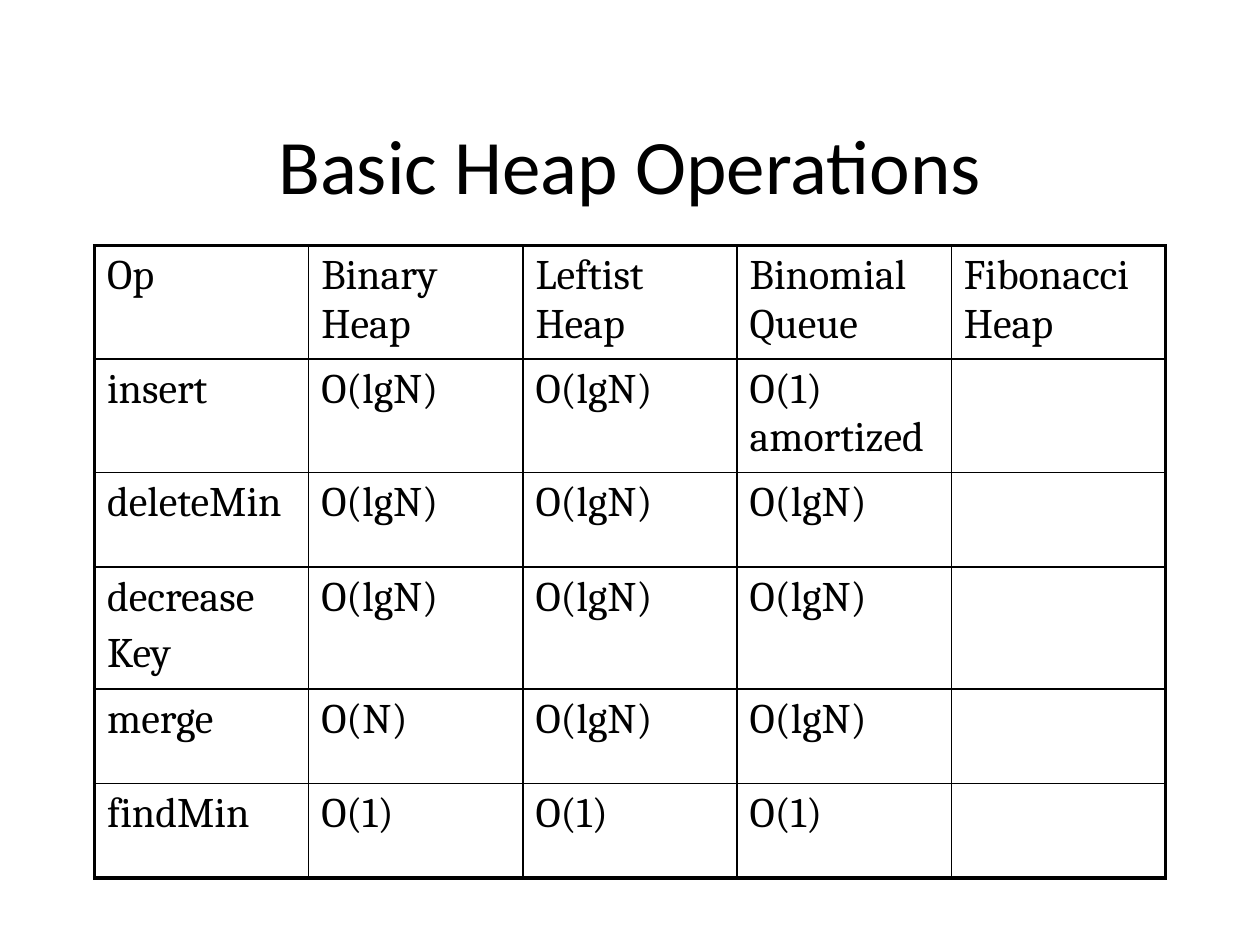
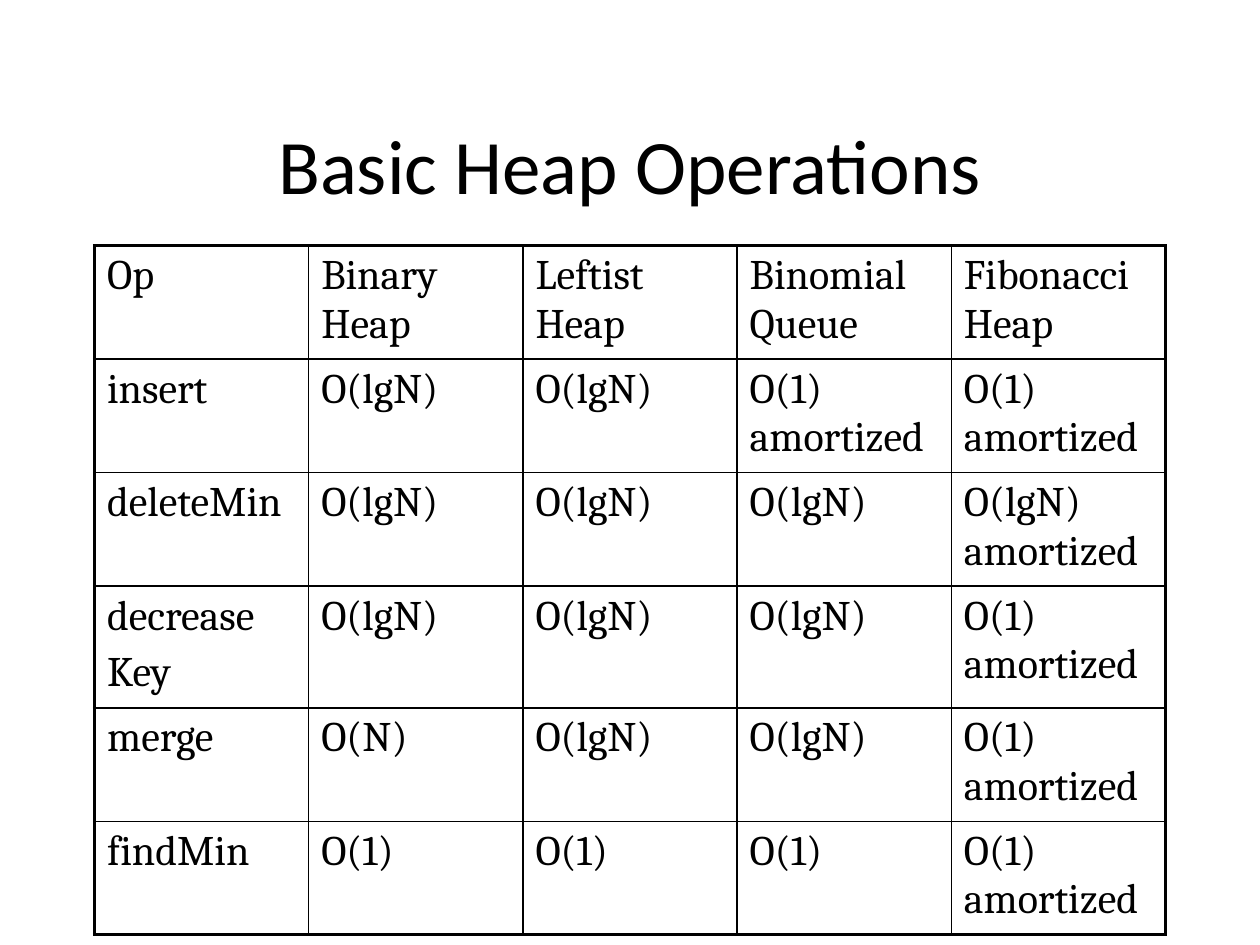
from dataclasses import dataclass

from lxml.etree import SubElement
from pptx import Presentation
from pptx.dml.color import RGBColor
from pptx.enum.text import MSO_ANCHOR, PP_ALIGN
from pptx.oxml.ns import qn
from pptx.slide import Slide
from pptx.table import _Cell as Cell
from pptx.text.text import _Paragraph as Paragraph
from pptx.util import Inches, Length, Pt


@dataclass(frozen=True)
class Theme:
    ink: str = "000000"
    title_font: str = "Calibri"
    title_size: Length = Pt(44)
    cell_font: str = "Cambria"
    cell_size: Length = Pt(24)
    paragraph_gap: Length = Pt(4.8)
    outer_border: Length = Pt(2.25)
    inner_border: Length = Pt(1)


@dataclass(frozen=True)
class Operation:
    name: str
    binary: str
    leftist: str
    binomial: str
    fibonacci: str

    def texts(self, show_fibonacci: bool) -> list[str]:
        fibonacci = self.fibonacci if show_fibonacci else ""
        return [self.name, self.binary, self.leftist, self.binomial, fibonacci]


THEME = Theme()
TITLE = "Basic Heap Operations"
LEFT, WIDTH = Inches(0.75), Inches(8.5)
TITLE_TOP, TITLE_HEIGHT = Inches(0.67), Inches(1.25)
TABLE_TOP, ROW_HEIGHT = Inches(1.95), Inches(0.75)

HEADINGS = ["Op", "Binary Heap", "Leftist Heap", "Binomial Queue", "Fibonacci Heap"]
OPERATIONS = [
    Operation("insert", "O(lgN)", "O(lgN)", "O(1) amortized", "O(1) amortized"),
    Operation("deleteMin", "O(lgN)", "O(lgN)", "O(lgN)", "O(lgN) amortized"),
    Operation("decrease\nKey", "O(lgN)", "O(lgN)", "O(lgN)", "O(1) amortized"),
    Operation("merge", "O(N)", "O(lgN)", "O(lgN)", "O(1) amortized"),
    Operation("findMin", "O(1)", "O(1)", "O(1)", "O(1) amortized"),
]


def style_text(para: Paragraph, font: str, size: Length) -> None:
    for span in para.runs:
        span.font.name = font
        span.font.size = size
        span.font.color.rgb = RGBColor.from_string(THEME.ink)


def add_title(page: Slide) -> None:
    box = page.shapes.add_textbox(LEFT, TITLE_TOP, WIDTH, TITLE_HEIGHT)
    frame = box.text_frame
    frame.word_wrap = True
    frame.vertical_anchor = MSO_ANCHOR.MIDDLE
    frame.text = TITLE
    para = frame.paragraphs[0]
    para.alignment = PP_ALIGN.CENTER
    style_text(para, THEME.title_font, THEME.title_size)


def set_borders(cell: Cell, outer_edges: dict[str, bool]) -> None:
    """Draw each edge heavy where it lies on the outside of the table."""
    properties = cell._tc.get_or_add_tcPr()
    for edge, is_outer in outer_edges.items():
        width = THEME.outer_border if is_outer else THEME.inner_border
        line = SubElement(properties, qn(f"a:{edge}"), w=str(int(width)))
        fill = SubElement(line, qn("a:solidFill"))
        SubElement(fill, qn("a:srgbClr"), val=THEME.ink)


def fill_cell(cell: Cell, text: str) -> None:
    cell.fill.background()
    if not text:
        return
    cell.text_frame.text = text
    for index, para in enumerate(cell.text_frame.paragraphs):
        if index:
            para.space_before = THEME.paragraph_gap
        style_text(para, THEME.cell_font, THEME.cell_size)


def add_operations_table(page: Slide, show_fibonacci: bool) -> None:
    rows = [HEADINGS] + [item.texts(show_fibonacci) for item in OPERATIONS]
    last_row, last_column = len(rows) - 1, len(HEADINGS) - 1
    table = page.shapes.add_table(
        len(rows), len(HEADINGS), LEFT, TABLE_TOP, WIDTH, ROW_HEIGHT * len(rows)
    ).table
    table.first_row = False
    table.horz_banding = False
    for row, texts in enumerate(rows):
        for column, text in enumerate(texts):
            cell = table.cell(row, column)
            set_borders(cell, {
                "lnL": column == 0,
                "lnR": column == last_column,
                "lnT": row == 0,
                "lnB": row == last_row,
            })
            fill_cell(cell, text)


def main() -> None:
    deck = Presentation()
    deck.slide_width, deck.slide_height = Inches(10), Inches(7.5)
    for show_fibonacci in (False, True):
        page = deck.slides.add_slide(deck.slide_layouts[6])
        add_title(page)
        add_operations_table(page, show_fibonacci)
    deck.save("out.pptx")


if __name__ == "__main__":
    main()
